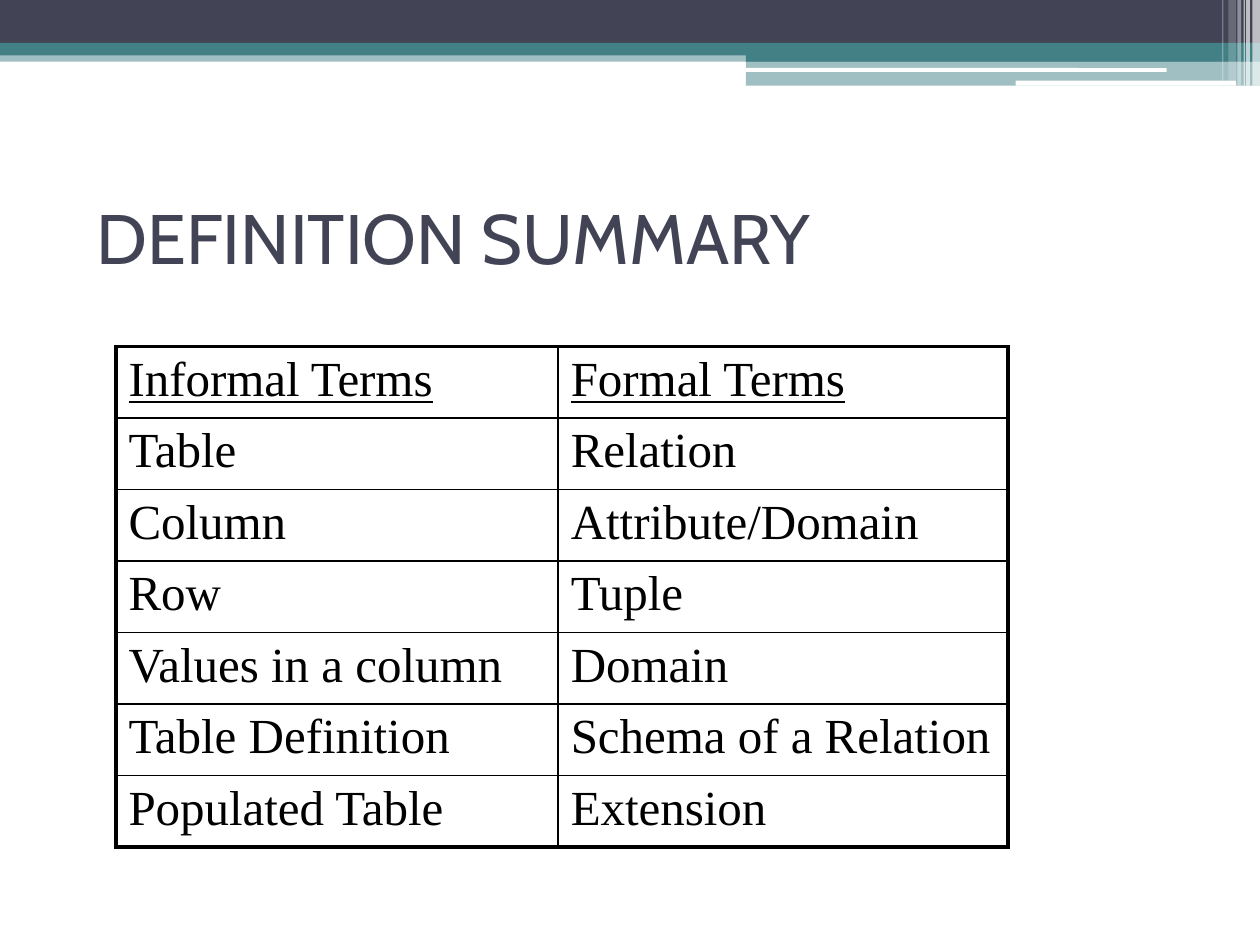
from lxml.etree import SubElement
from pptx import Presentation
from pptx.dml.color import RGBColor
from pptx.enum.shapes import MSO_SHAPE as Shape
from pptx.enum.text import MSO_ANCHOR as Anchor
from pptx.oxml.ns import qn
from pptx.util import Inches, Pt

NAVY, TEAL, WHITE, BLACK = "424456", "438086", "FFFFFF", "000000"
TITLE = "DEFINITION SUMMARY"
TERMS = [
    ("Informal Terms", "Formal Terms"),
    ("Table", "Relation"),
    ("Column", "Attribute/Domain"),
    ("Row", "Tuple"),
    ("Values in a column", "Domain"),
    ("Table Definition", "Schema of a Relation"),
    ("Populated Table", "Extension"),
]
COLUMN_WIDTHS = (3.51, 3.57)
TABLE_HEIGHT = 3.94
OUTER_LINE, INNER_LINE = 2.25, 1

BANDS = [
    (0, 0.4, 10, 0.09, TEAL, 50),
    (0, 0, 10, 0.34, NAVY, 100),
    (0, 0.34, 10, 0.1, TEAL, 100),
    (5.92, 0.39, 4.08, 0.1, TEAL, 100),
    (5.92, 0.48, 4.08, 0.2, TEAL, 50),
]
WHITE_BARS = [(5.91, 0.54, 3.35, 0.03), (8.06, 0.64, 1.75, 0.04)]
STRIPES = [
    (9.94, 0.06, 0.68, 65),
    (9.89, 0.03, 0.68, 65),
    (9.87, 0.01, 0.68, 60),
    (9.82, 0.03, 0.68, 40),
    (9.75, 0.06, 0.64, 20),
    (9.7, 0.01, 0.64, 30),
]


def rgb(color):
    return RGBColor.from_string(color)


def add_block(slide, box, color, opacity=100, kind=Shape.RECTANGLE):
    block = slide.shapes.add_shape(kind, *map(Inches, box))
    block.shadow.inherit = False
    block.fill.solid()
    block.fill.fore_color.rgb = rgb(color)
    block.line.fill.background()
    if opacity < 100:
        fill_color = block._element.spPr.find(qn("a:solidFill"))[0]
        SubElement(fill_color, qn("a:alpha"), val=str(opacity * 1000))


def set_font(paragraph, name, size, color):
    paragraph.font.name = name
    paragraph.font.size = Pt(size)
    paragraph.font.color.rgb = rgb(color)


def set_borders(cell, widths):
    properties = cell._tc.get_or_add_tcPr()
    for side, width in widths.items():
        border = SubElement(properties, qn(f"a:ln{side}"), w=str(Pt(width)))
        fill = SubElement(border, qn("a:solidFill"))
        SubElement(fill, qn("a:srgbClr"), val=BLACK)


def add_header(slide):
    for *box, color, opacity in BANDS:
        add_block(slide, box, color, opacity)
    for box in WHITE_BARS:
        add_block(slide, box, WHITE, kind=Shape.ROUNDED_RECTANGLE)
    for left, width, height, opacity in STRIPES:
        add_block(slide, (left, 0, width, height), WHITE, opacity)


def add_title(slide):
    title = slide.shapes.add_textbox(*map(Inches, (0.67, 1.25, 7.85, 1.25)))
    frame = title.text_frame
    frame.word_wrap = True
    frame.vertical_anchor = Anchor.MIDDLE
    frame.text = TITLE
    set_font(frame.paragraphs[0], "Cabin", 40, NAVY)


def add_terms(slide):
    last_row, last_column = len(TERMS) - 1, len(COLUMN_WIDTHS) - 1
    box = (0.92, 2.75, sum(COLUMN_WIDTHS), TABLE_HEIGHT)
    table = slide.shapes.add_table(
        len(TERMS), len(COLUMN_WIDTHS), *map(Inches, box)
    ).table
    table.first_row = table.horz_banding = False
    for column, width in zip(table.columns, COLUMN_WIDTHS):
        column.width = Inches(width)
    for r, terms in enumerate(TERMS):
        for c, term in enumerate(terms):
            cell = table.cell(r, c)
            cell.text = term
            paragraph = cell.text_frame.paragraphs[0]
            set_font(paragraph, "Times New Roman", 28, BLACK)
            if r == 0:
                paragraph.runs[0].font.underline = True
            on_edge = {"L": c == 0, "R": c == last_column,
                       "T": r == 0, "B": r == last_row}
            set_borders(cell, {side: OUTER_LINE if outer else INNER_LINE
                               for side, outer in on_edge.items()})
            cell.fill.background()


def main():
    deck = Presentation()
    deck.slide_width, deck.slide_height = Inches(10), Inches(7.5)
    slide = deck.slides.add_slide(deck.slide_layouts[6])
    add_header(slide)
    add_title(slide)
    add_terms(slide)
    deck.save("out.pptx")


if __name__ == "__main__":
    main()
